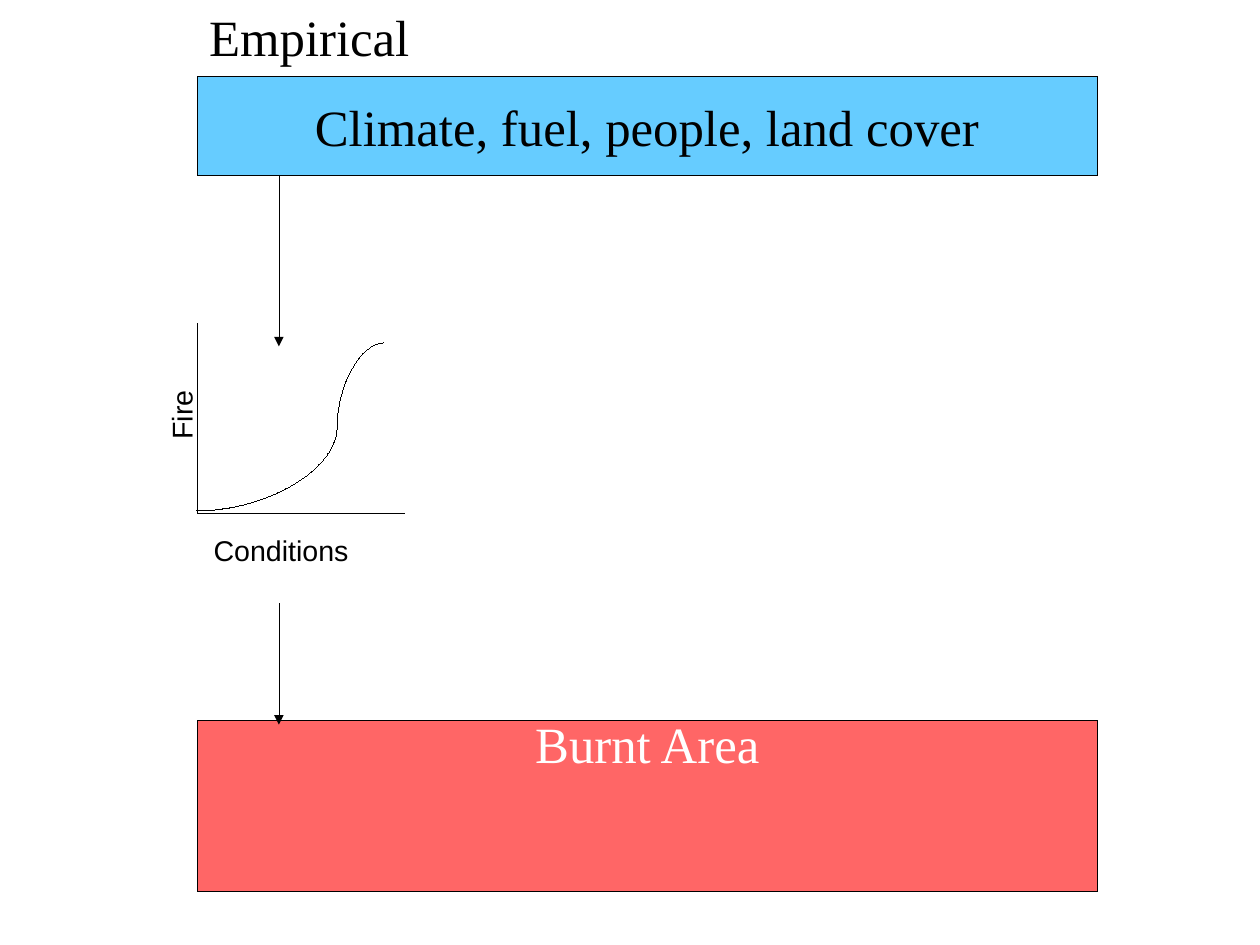
"""Build a slide showing the empirical route from conditions to burnt area."""
import dataclasses

import lxml.etree
import pptx
import pptx.dml.color
import pptx.enum.shapes
import pptx.enum.text
import pptx.oxml.ns
import pptx.util

Inches = pptx.util.Inches
Anchor = pptx.enum.text.MSO_ANCHOR
Align = pptx.enum.text.PP_ALIGN
Connector = pptx.enum.shapes.MSO_CONNECTOR


@dataclasses.dataclass(frozen=True)
class Theme:
    """Colours, fonts and sizes of the slide."""
    ink: str = "000000"
    white: str = "FFFFFF"
    input_blue: str = "66CCFF"
    output_red: str = "FF6666"
    serif: str = "Times New Roman"
    sans: str = "Arial"
    large: int = 32
    small: int = 18
    hairline: int = pptx.util.Emu(1)


THEME = Theme()
CM_PER_INCH = 2.54
BAND_LEFT, BAND_WIDTH = 1.73, 7.87
ARROW_X = 2.44


def rgb(value):
    """Turn a hex string into a colour."""
    return pptx.dml.color.RGBColor.from_string(value)


def set_text(shape, text, *, size=THEME.large, font=THEME.serif, color=THEME.ink,
             align=Align.LEFT, anchor=Anchor.TOP, wrap=True, top_inset=0.05,
             line_spacing=1.0):
    """Write formatted text into a shape."""
    frame = shape.text_frame
    frame.text = text
    frame.word_wrap = wrap
    frame.auto_size = pptx.enum.text.MSO_AUTO_SIZE.NONE
    frame.vertical_anchor = anchor
    frame.margin_left = frame.margin_right = Inches(0.1)
    frame.margin_top, frame.margin_bottom = Inches(top_inset), Inches(0.05)
    paragraph = frame.paragraphs[0]
    paragraph.alignment = align
    paragraph.line_spacing = line_spacing
    run_font = paragraph.runs[0].font
    run_font.size = pptx.util.Pt(size)
    run_font.name = font
    run_font.color.rgb = rgb(color)


def set_line(line):
    """Give a line the hairline style."""
    line.color.rgb = rgb(THEME.ink)
    line.width = THEME.hairline


def add_title(slide, text):
    """Place the title above the first band."""
    title = slide.shapes.title
    title.left, title.top = Inches(BAND_LEFT), Inches(0)
    title.width, title.height = Inches(2.44), Inches(1.08)
    set_text(title, text)


def add_band(slide, text, top, height, fill, **text_format):
    """Add a full-width coloured box with centred text."""
    band = slide.shapes.add_shape(
        pptx.enum.shapes.MSO_SHAPE.RECTANGLE, Inches(BAND_LEFT), Inches(top),
        Inches(BAND_WIDTH), Inches(height))
    band.shadow.inherit = False
    band.fill.solid()
    band.fill.fore_color.rgb = rgb(fill)
    set_line(band.line)
    set_text(band, text, align=Align.CENTER, wrap=False, **text_format)


def add_label(slide, text, left, top, rotation=0):
    """Add an axis label."""
    label = slide.shapes.add_textbox(
        Inches(left), Inches(top), Inches(1.81), Inches(0.38))
    label.rotation = rotation
    set_text(label, text, size=THEME.small, font=THEME.sans)


def add_line(slide, start, end, kind=Connector.STRAIGHT):
    """Add a hairline connector without shadow."""
    connector = slide.shapes.add_connector(
        kind, *(Inches(value) for value in (*start, *end)))
    set_line(connector.line)
    lxml.etree.SubElement(connector._element.spPr, pptx.oxml.ns.qn("a:effectLst"))
    return connector


def add_arrow(slide, top, bottom):
    """Add a downward arrow."""
    connector = add_line(slide, (ARROW_X, top), (ARROW_X, bottom))
    lxml.etree.SubElement(connector.line._get_or_add_ln(),
                          pptx.oxml.ns.qn("a:tailEnd"), type="triangle")


def add_curve(slide, start, end, bend):
    """Add an S-shaped connector that turns at the given share of its width."""
    connector = add_line(slide, start, end, Connector.CURVE)
    geometry = connector._element.spPr.find(pptx.oxml.ns.qn("a:prstGeom"))
    adjustments = geometry.find(pptx.oxml.ns.qn("a:avLst"))
    lxml.etree.SubElement(adjustments, pptx.oxml.ns.qn("a:gd"), name="adj1",
                          fmla=f"val {round(bend * 100000)}")


def add_response_graph(slide):
    """Draw the sketch of fire against conditions."""
    origin = (BAND_LEFT, 4.49)
    add_line(slide, (BAND_LEFT, 2.83), origin)
    add_line(slide, (3.54, 4.49), origin)
    add_curve(slide, (3.36, 3), (1.72, 4.47), bend=0.25)
    add_label(slide, "Conditions", 1.77, 4.61)
    add_label(slide, "Fire", 0.67, 2.85, rotation=270)


def main():
    """Build and save the slide."""
    presentation = pptx.Presentation()
    presentation.slide_width = Inches(28 / CM_PER_INCH)
    presentation.slide_height = Inches(21 / CM_PER_INCH)
    slide = presentation.slides.add_slide(presentation.slide_layouts[5])
    add_title(slide, "Empirical")
    add_band(slide, "Climate, fuel, people, land cover", 0.67, 0.87,
             THEME.input_blue, anchor=Anchor.MIDDLE)
    add_band(slide, "Burnt Area", 6.3, 1.5, THEME.output_red,
             color=THEME.white, top_inset=0, line_spacing=0.9)
    add_response_graph(slide)
    add_arrow(slide, 1.54, 3.03)
    add_arrow(slide, 5.28, 6.34)
    presentation.save("out.pptx")


if __name__ == "__main__":
    main()
